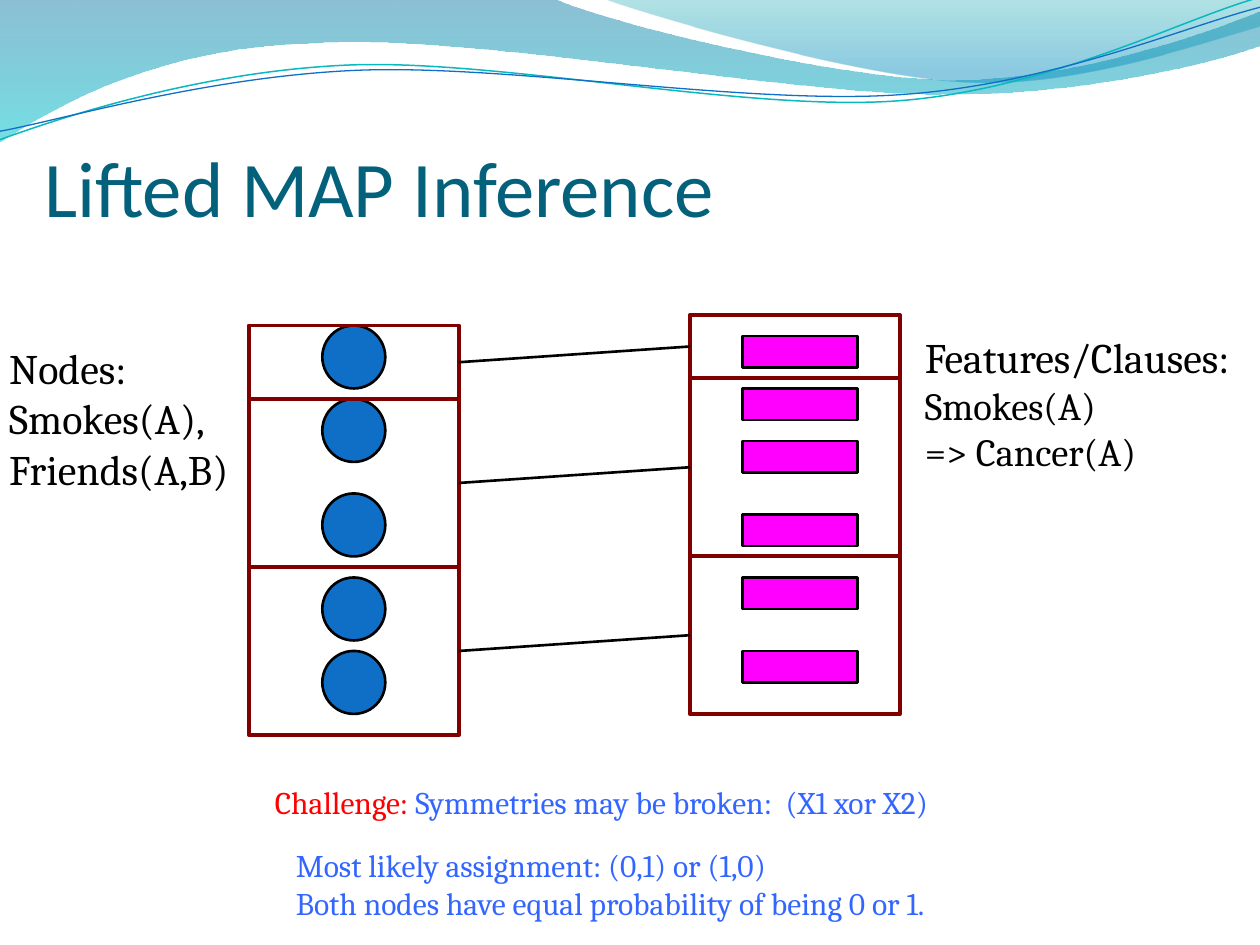
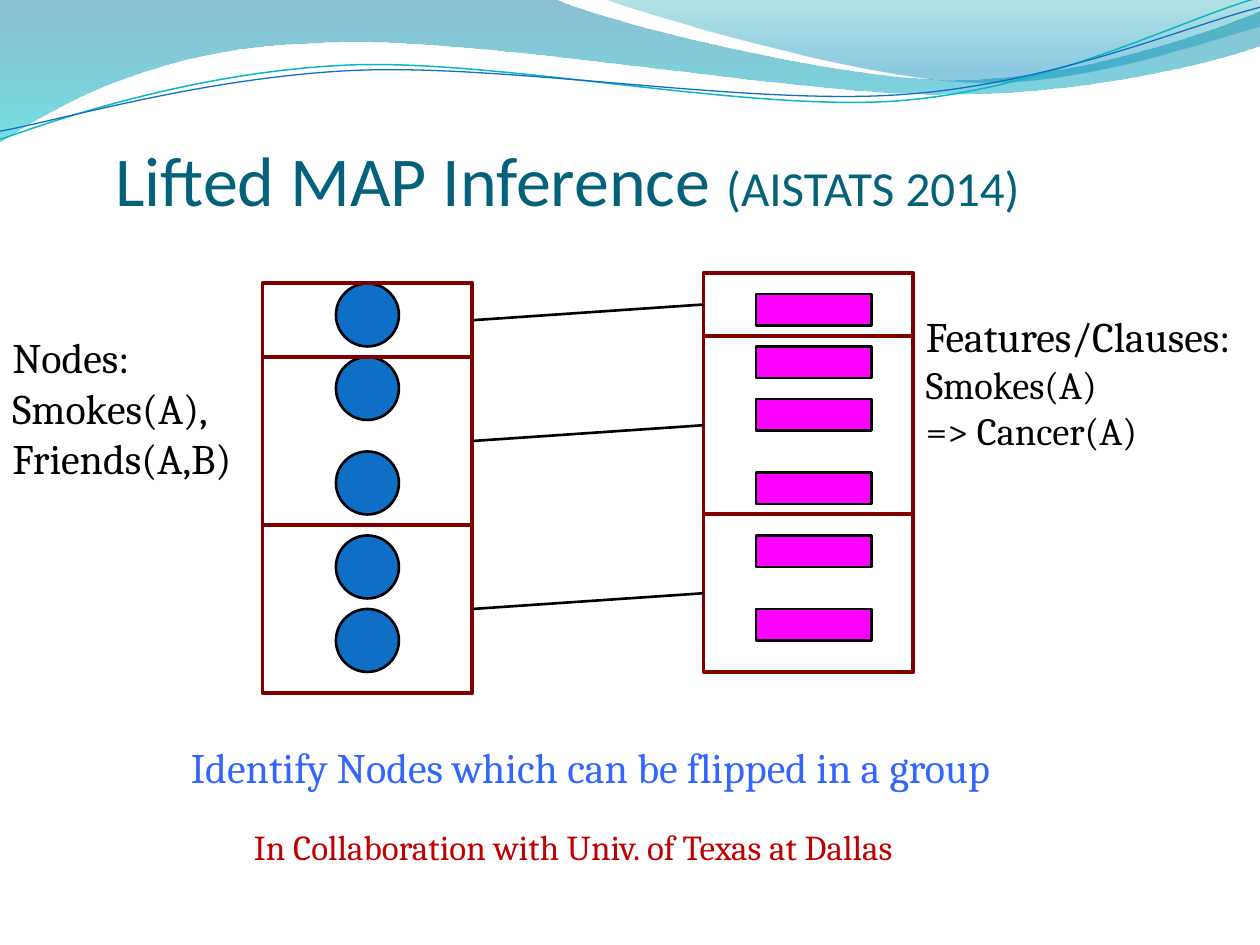
"""Build two slides on lifted MAP inference over nodes and features."""
from dataclasses import dataclass
from itertools import accumulate, chain
from typing import NamedTuple

from lxml.etree import SubElement
from pptx import Presentation
from pptx.dml.color import RGBColor
from pptx.enum.shapes import MSO_CONNECTOR, MSO_SHAPE
from pptx.enum.text import MSO_ANCHOR, MSO_AUTO_SIZE
from pptx.oxml.ns import qn
from pptx.util import Emu, Pt

PX = 7620
NODE_BLUE, FEATURE_PINK, GROUP_MAROON = "0F6FC6", "FF00FF", "800000"
TITLE_TEAL, NOTE_BLUE, ALERT_RED, CREDIT_RED = "04617B", "3366FF", "FF0000", "C00000"
BLACK = "000000"
GROUP_WIDTH, FEATURES_OFFSET = 200, 420


class Point(NamedTuple):
    """A place in px."""
    x: int
    y: int


class Box(NamedTuple):
    """A rectangle in px."""
    left: int
    top: int
    width: int
    height: int


class GradientStop(NamedTuple):
    """One stop of a gradient, with opacity in percent."""
    position: float
    color: str
    opacity: int


class Piece(NamedTuple):
    """A stretch of text in one style."""
    text: str
    size: int
    color: str = BLACK


@dataclass(frozen=True)
class Wave:
    """A header curve: segments hold one point (straight) or three (Bezier)."""
    start: tuple
    segments: tuple
    gradient: tuple = ()
    line_color: str = ""
    line_width: float = 0


@dataclass(frozen=True)
class Panel:
    """A column of stacked groups holding equal items."""
    left: int
    top: int
    group_heights: tuple
    item_shape: MSO_SHAPE
    item_color: str
    item_left: int
    item_size: tuple
    item_tops: tuple


@dataclass(frozen=True)
class Caption:
    """A text box with its lines, each a tuple of pieces."""
    box: Box
    lines: tuple
    font: str = "Cambria"
    is_title: bool = False
    wraps: bool = True


WAVES = (
    Wave((0, 0), (
        ((528, -1),),
        ((571, 20), (797, 76), (910, 76)),
        ((1024, 76), (1150, 31), (1200, 11)),
        ((1201, 43),),
        ((1180, 53), (1044, 91), (895, 90)),
        ((746, 90), (458, 34), (308, 41)),
        ((154, 43), (55, 100), (-1, 136)),
        ((0, 0),),
    ), gradient=(GradientStop(0, "0074A1", 45), GradientStop(1, "00C6CF", 55))),
    Wave((575, -1), (
        ((611, 13), (818, 74), (923, 78)),
        ((1027, 83), (1153, 38), (1200, 25)),
        ((1200, 0),),
        ((575, -1),),
    ), gradient=(GradientStop(0, "00A1A9", 30), GradientStop(0.8, "008BBF", 45))),
    Wave((0, 133), (
        ((58, 112), (190, 68), (332, 62)),
        ((474, 56), (712, 107), (856, 96)),
        ((1000, 85), (1126, 18), (1198, -2)),
    ), line_color="0AB8BF", line_width=0.85),
    Wave((0, 125), (
        ((56, 115), (197, 73), (340, 67)),
        ((484, 61), (716, 101), (860, 90)),
        ((1003, 80), (1129, 25), (1200, 7)),
    ), line_color="0F6FC6", line_width=0.75),
)
NODES = Panel(0, 10, (70, 160, 160), MSO_SHAPE.OVAL, NODE_BLUE,
              70, (60, 60), (10, 80, 170, 250, 320))
FEATURES = Panel(FEATURES_OFFSET, 0, (60, 170, 150), MSO_SHAPE.RECTANGLE, FEATURE_PINK,
                 50, (110, 30), (20, 70, 120, 190, 250, 320))
NODE_LINES = tuple((Piece(text, 24),) for text in ("Nodes:", "Smokes(A),", "Friends(A,B)"))
FEATURE_LINES = (
    (Piece("Features/Clauses:", 24),),
    (Piece("Smokes(A)", 22),),
    (Piece("=> Cancer(A)", 22),),
)


def px(length: float) -> Emu:
    """Turn px into EMU."""
    return Emu(round(length * PX))


def rgb(color: str) -> RGBColor:
    """Turn a hex string into a colour."""
    return RGBColor.from_string(color)


def bend(shape, wave: Wave) -> None:
    """Join the straight steps of each three-point segment into one Bezier."""
    steps = iter(list(shape.element.iter(qn("a:lnTo"))))
    for segment in wave.segments:
        first, *others = [next(steps) for _ in segment]
        if others:
            first.tag = qn("a:cubicBezTo")
            for step in others:
                first.append(step[0])
                step.getparent().remove(step)


def draw_wave(slide, wave: Wave):
    """Draw one header curve, filled or outlined, and return it."""
    builder = slide.shapes.build_freeform(*map(px, wave.start))
    points = chain.from_iterable(wave.segments)
    builder.add_line_segments([(px(x), px(y)) for x, y in points], close=bool(wave.gradient))
    shape = builder.convert_to_shape()
    bend(shape, wave)
    shape.shadow.inherit = False
    if not wave.gradient:
        shape.fill.background()
        shape.line.color.rgb = rgb(wave.line_color)
        shape.line.width = Pt(wave.line_width)
        return shape
    shape.line.fill.background()
    shape.fill.gradient()
    shape.fill.gradient_angle = 270
    for stop, wanted in zip(shape.fill.gradient_stops, wave.gradient):
        stop.position = wanted.position
        stop.color.rgb = rgb(wanted.color)
    for color, wanted in zip(shape.element.iter(qn("a:srgbClr")), wave.gradient):
        SubElement(color, qn("a:alpha")).set("val", str(wanted.opacity * 1000))
    return shape


def set_header(slide) -> None:
    """Put the header waves on the layout that all slides share."""
    layout = slide.slide_layout
    for placeholder in list(layout.placeholders):
        layout.shapes.element.remove(placeholder.element)
    for shape in [draw_wave(slide, wave) for wave in WAVES]:
        layout.shapes.element.append(shape.element)


def draw_shape(slide, kind: MSO_SHAPE, box: Box, fill: str, line: str, width: float) -> None:
    """Draw a preset shape; an empty fill leaves it hollow."""
    shape = slide.shapes.add_shape(kind, *map(px, box))
    shape.shadow.inherit = False
    if fill:
        shape.fill.solid()
        shape.fill.fore_color.rgb = rgb(fill)
    else:
        shape.fill.background()
    shape.line.color.rgb = rgb(line)
    shape.line.width = Pt(width)


def group_boxes(panel: Panel, origin: Point) -> list:
    """Return the stacked group boxes of a panel."""
    tops = accumulate(panel.group_heights, initial=origin.y + panel.top)
    return [Box(origin.x + panel.left, top, GROUP_WIDTH, height)
            for top, height in zip(tops, panel.group_heights)]


def draw_panel(slide, panel: Panel, origin: Point) -> None:
    """Draw the items of a panel and the groups around them."""
    for top in panel.item_tops:
        box = Box(origin.x + panel.left + panel.item_left, origin.y + top, *panel.item_size)
        draw_shape(slide, panel.item_shape, box, panel.item_color, BLACK, 1.5)
    for box in group_boxes(panel, origin):
        draw_shape(slide, MSO_SHAPE.RECTANGLE, box, "", GROUP_MAROON, 2.25)


def draw_link(slide, source: Box, target: Box) -> None:
    """Join the facing sides of two groups at mid height."""
    link = slide.shapes.add_connector(
        MSO_CONNECTOR.STRAIGHT,
        px(source.left + source.width), px(source.top + source.height / 2),
        px(target.left), px(target.top + target.height / 2))
    link.line.color.rgb = rgb(BLACK)
    link.line.width = Pt(1.5)
    SubElement(link.element.spPr, qn("a:effectLst"))


def draw_caption(slide, caption: Caption) -> None:
    """Write the lines of a caption in a text box."""
    text_frame = slide.shapes.add_textbox(*map(px, caption.box)).text_frame
    text_frame.word_wrap = caption.wraps
    if caption.is_title:
        text_frame.vertical_anchor = MSO_ANCHOR.BOTTOM
        text_frame.margin_left = text_frame.margin_right = text_frame.margin_bottom = 0
    else:
        text_frame.auto_size = MSO_AUTO_SIZE.SHAPE_TO_FIT_TEXT
    text_frame.text = "\n".join(line[0].text for line in caption.lines)
    for paragraph, line in zip(text_frame.paragraphs, caption.lines):
        for piece in line[1:]:
            paragraph.add_run().text = piece.text
        for run, piece in zip(paragraph.runs, line):
            run.font.name = caption.font
            run.font.size = Pt(piece.size)
            run.font.color.rgb = rgb(piece.color)


def fill_slide(slide, title: Caption, origin: Point, captions: tuple) -> None:
    """Draw the title, diagram and captions of a slide."""
    draw_caption(slide, title)
    for panel in (NODES, FEATURES):
        draw_panel(slide, panel, origin)
    for source, target in zip(group_boxes(NODES, origin), group_boxes(FEATURES, origin)):
        draw_link(slide, source, target)
    for caption in captions:
        draw_caption(slide, caption)


def title_caption(box: Box, *pieces: Piece) -> Caption:
    """Return a caption in the title style."""
    return Caption(box, (pieces,), font="Calibri", is_title=True)


def main() -> None:
    """Build and save the presentation."""
    presentation = Presentation()
    presentation.slide_width, presentation.slide_height = px(1200), px(900)
    blank = presentation.slide_layouts[6]
    challenge, solution = [presentation.slides.add_slide(blank) for _ in range(2)]
    set_header(challenge)
    fill_slide(
        challenge,
        title_caption(Box(42, 120, 1160, 102), Piece("Lifted MAP Inference", 45, TITLE_TEAL)),
        Point(237, 300),
        (
            Caption(Box(-3, 320, 250, 157), NODE_LINES),
            Caption(Box(869, 310, 329, 150), FEATURE_LINES),
            Caption(Box(250, 740, 695, 48), ((
                Piece("Challenge:", 18, ALERT_RED),
                Piece(" Symmetries may be broken:  (X1 xor X2)", 18, NOTE_BLUE)),), wraps=False),
            Caption(Box(270, 800, 671, 85), (
                (Piece("Most likely assignment: (0,1) or (1,0)", 18, NOTE_BLUE),),
                (Piece("Both nodes have equal probability of being 0 or 1.", 18, NOTE_BLUE),)),
                wraps=False),
        ))
    fill_slide(
        solution,
        title_caption(Box(110, 90, 1020, 120),
                      Piece("Lifted MAP Inference ", 40, TITLE_TEAL),
                      Piece("(AISTATS 2014)", 28, TITLE_TEAL)),
        Point(250, 260),
        (
            Caption(Box(0, 310, 250, 157), NODE_LINES),
            Caption(Box(870, 290, 329, 150), FEATURE_LINES),
            Caption(Box(170, 700, 850, 60), (
                (Piece("Identify Nodes which can be flipped in a group", 24, NOTE_BLUE),),)),
            Caption(Box(230, 780, 720, 53), (
                (Piece("In Collaboration with Univ. of Texas at Dallas", 20, CREDIT_RED),),)),
        ))
    presentation.save("out.pptx")


if __name__ == "__main__":
    main()
